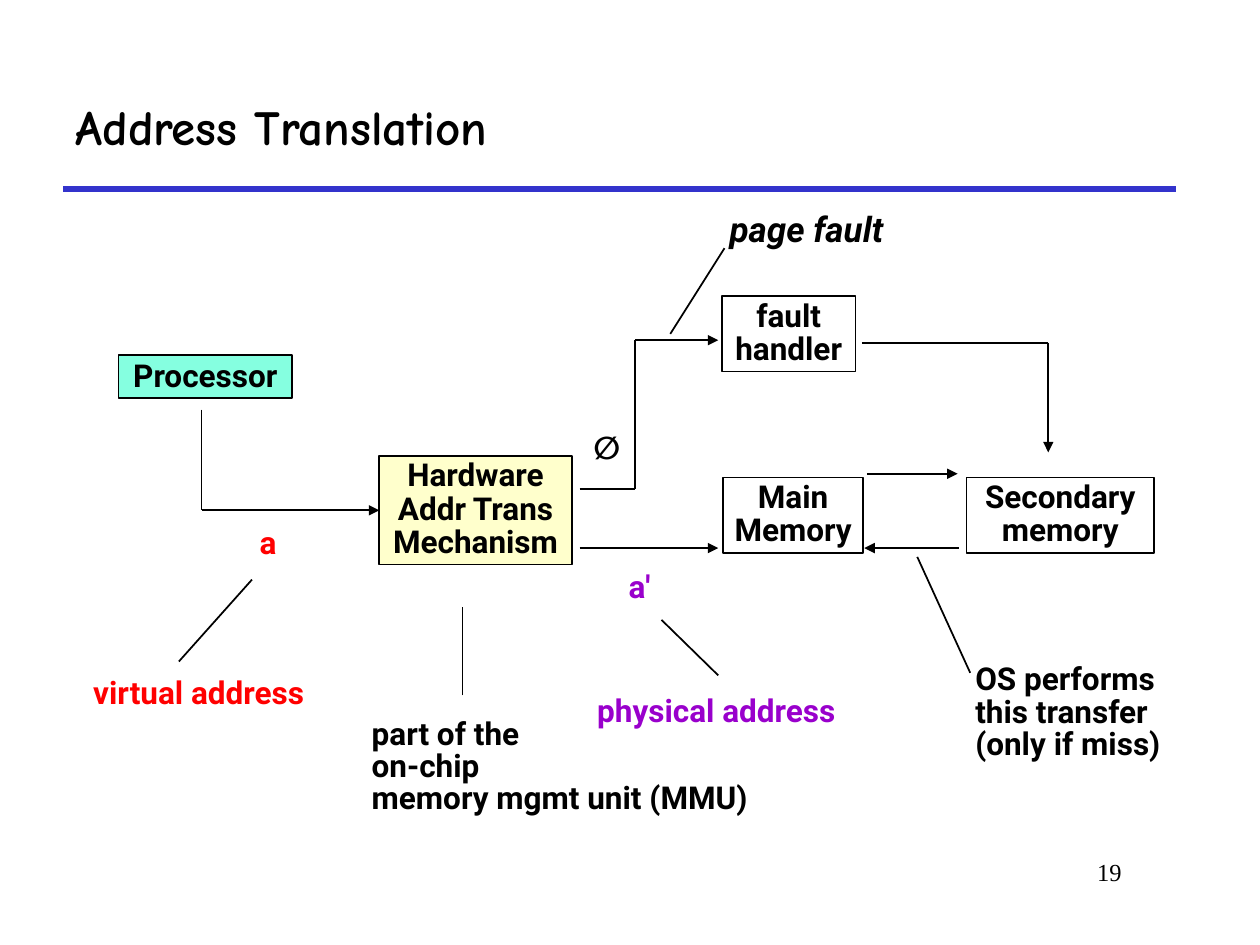
from dataclasses import dataclass
from itertools import pairwise

from lxml import etree
from pptx import Presentation
from pptx.dml.color import RGBColor
from pptx.enum.shapes import MSO_CONNECTOR, MSO_SHAPE
from pptx.enum.text import MSO_ANCHOR, MSO_AUTO_SIZE, PP_ALIGN
from pptx.oxml.ns import qn
from pptx.util import Inches, Pt

STRAIGHT = MSO_CONNECTOR.STRAIGHT
RECTANGLE = MSO_SHAPE.RECTANGLE
MIDDLE, TOP = MSO_ANCHOR.MIDDLE, MSO_ANCHOR.TOP
GROW = MSO_AUTO_SIZE.SHAPE_TO_FIT_TEXT
LEFT, CENTER, RIGHT = PP_ALIGN.LEFT, PP_ALIGN.CENTER, PP_ALIGN.RIGHT

BLACK = RGBColor(0x00, 0x00, 0x00)
RED = RGBColor(0xFF, 0x00, 0x00)
PURPLE = RGBColor(0x99, 0x00, 0xCC)
RULE_BLUE = RGBColor(0x33, 0x33, 0xCC)
AQUA = RGBColor(0x85, 0xFF, 0xE0)
CREAM = RGBColor(0xFF, 0xFF, 0xCC)

DIAGRAM_FONT = "Roboto"
TITLE_FONT = "Comic Neue"
NUMBER_FONT = "Times New Roman"

Bounds = tuple[float, float, float, float]
Point = tuple[float, float]


@dataclass
class Unit:
    text: str
    bounds: Bounds
    fill: RGBColor | None = None
    spacing: float = 0.88
    wrap: bool = False


@dataclass
class Label:
    text: str
    bounds: Bounds
    color: RGBColor = BLACK
    size: int = 18
    italic: bool = False


@dataclass
class Route:
    """A chain of straight segments, with an optional arrowhead at its end."""
    points: list[Point]
    arrow: bool = True
    width: float = 1
    color: RGBColor = BLACK


UNITS = [
    Unit("Processor", (0.94, 2.82, 1.38, 0.34), AQUA, spacing=0.92),
    Unit("Hardware\nAddr Trans\nMechanism", (3.01, 3.62, 1.53, 0.86), CREAM, wrap=True),
    Unit("fault\nhandler", (5.73, 2.35, 1.06, 0.6)),
    Unit("Main\nMemory", (5.74, 3.79, 1.11, 0.6)),
    Unit("Secondary memory", (7.67, 3.79, 1.49, 0.6), wrap=True),
]

LABELS = [
    Label("a", (1.99, 4.17, 0.28, 0.31), RED),
    Label("a'", (4.92, 4.52, 0.34, 0.31), PURPLE),
    Label("∅", (4.64, 3.41, 0.35, 0.31)),
    Label("page fault", (5.72, 1.67, 1.46, 0.34), size=20, italic=True),
    Label("physical address", (4.67, 5.5, 2.17, 0.31), PURPLE),
    Label("OS performs\nthis transfer\n(only if miss)", (7.67, 5.25, 1.68, 0.82)),
    Label("virtual address", (0.67, 5.36, 1.94, 0.31), RED),
    Label("part of the\non-chip\nmemory mgmt unit (MMU)", (2.88, 5.68, 3.22, 0.82)),
]

TITLE_RULE = Route([(0.5, 1.5), (9.33, 1.5)], arrow=False, width=3, color=RULE_BLUE)

DATA_FLOWS = [
    Route([(1.6, 3.25), (1.6, 4.05), (3.01, 4.05)]),
    Route([(4.6, 4.35), (5.7, 4.35)]),
    Route([(4.6, 3.88), (5.04, 3.88), (5.04, 2.7), (5.7, 2.7)]),
    Route([(6.84, 2.72), (8.32, 2.72), (8.32, 3.59)]),
    Route([(6.88, 3.76), (7.6, 3.76)]),
    Route([(7.61, 4.35), (6.86, 4.35)]),
]

LEADERS = [
    Route([(5.75, 1.97), (5.32, 2.65)], arrow=False),
    Route([(5.7, 5.36), (5.25, 4.92)], arrow=False),
    Route([(7.28, 4.42), (7.7, 5.34)], arrow=False),
    Route([(1.42, 5.25), (2, 4.6)], arrow=False),
    Route([(3.67, 5.52), (3.67, 4.82)], arrow=False, width=0.75),
]


def to_inches(values: tuple[float, ...]) -> list[Inches]:
    return [Inches(value) for value in values]


def write_text(frame, text: str, font_name: str, size: int, color: RGBColor = BLACK,
               align=LEFT, spacing: float | None = None,
               bold: bool = True, italic: bool = False) -> None:
    frame.text = text
    for paragraph in frame.paragraphs:
        paragraph.alignment = align
        paragraph.line_spacing = spacing
        for run in paragraph.runs:
            font = run.font
            font.name, font.size = font_name, Pt(size)
            font.bold, font.italic = bold, italic
            font.color.rgb = color


def fit_frame(frame, anchor, wrap: bool = False) -> None:
    """Give a diagram text its narrow margins and let its box fit the text."""
    frame.margin_left = frame.margin_right = Inches(0.07)
    frame.margin_top = frame.margin_bottom = Inches(0.03)
    frame.vertical_anchor = anchor
    frame.word_wrap = wrap
    frame.auto_size = GROW


def draw_unit(slide, unit: Unit) -> None:
    box = slide.shapes.add_shape(RECTANGLE, *to_inches(unit.bounds))
    box.shadow.inherit = False
    if unit.fill is None:
        box.fill.background()
    else:
        box.fill.solid()
        box.fill.fore_color.rgb = unit.fill
    box.line.color.rgb = BLACK
    box.line.width = Pt(1)
    fit_frame(box.text_frame, MIDDLE, unit.wrap)
    write_text(box.text_frame, unit.text, DIAGRAM_FONT, 18,
               align=CENTER, spacing=unit.spacing)


def draw_label(slide, label: Label) -> None:
    frame = slide.shapes.add_textbox(*to_inches(label.bounds)).text_frame
    fit_frame(frame, TOP)
    write_text(frame, label.text, DIAGRAM_FONT, label.size, label.color,
               spacing=0.85, italic=label.italic)


def draw_route(slide, route: Route) -> None:
    for start, end in pairwise(route.points):
        segment = slide.shapes.add_connector(STRAIGHT, *to_inches(start + end))
        segment.line.color.rgb = route.color
        segment.line.width = Pt(route.width)
        properties = segment.element.spPr
        etree.SubElement(properties, qn("a:effectLst"))
        if route.arrow and end == route.points[-1]:
            outline = properties.find(qn("a:ln"))
            etree.SubElement(outline, qn("a:tailEnd"), type="triangle")


def draw_title(slide) -> None:
    title = slide.shapes.title
    title.left, title.top, title.width, title.height = to_inches((0.5, 0.5, 8.83, 1))
    title.text_frame.vertical_anchor = MIDDLE
    write_text(title.text_frame, "Address Translation", TITLE_FONT, 28)


def draw_slide_number(slide) -> None:
    frame = slide.shapes.add_textbox(*to_inches((7.58, 6.75, 1.42, 0.5))).text_frame
    frame.word_wrap = True
    write_text(frame, "19", NUMBER_FONT, 14, align=RIGHT, bold=False)


def main() -> None:
    presentation = Presentation()
    presentation.slide_width, presentation.slide_height = Inches(10), Inches(7.5)
    title_only = presentation.slide_layouts[5]
    slide = presentation.slides.add_slide(title_only)
    draw_title(slide)
    draw_slide_number(slide)
    for unit in UNITS:
        draw_unit(slide, unit)
    for route in [TITLE_RULE, *DATA_FLOWS, *LEADERS]:
        draw_route(slide, route)
    for label in LABELS:
        draw_label(slide, label)
    presentation.save("out.pptx")


if __name__ == "__main__":
    main()
